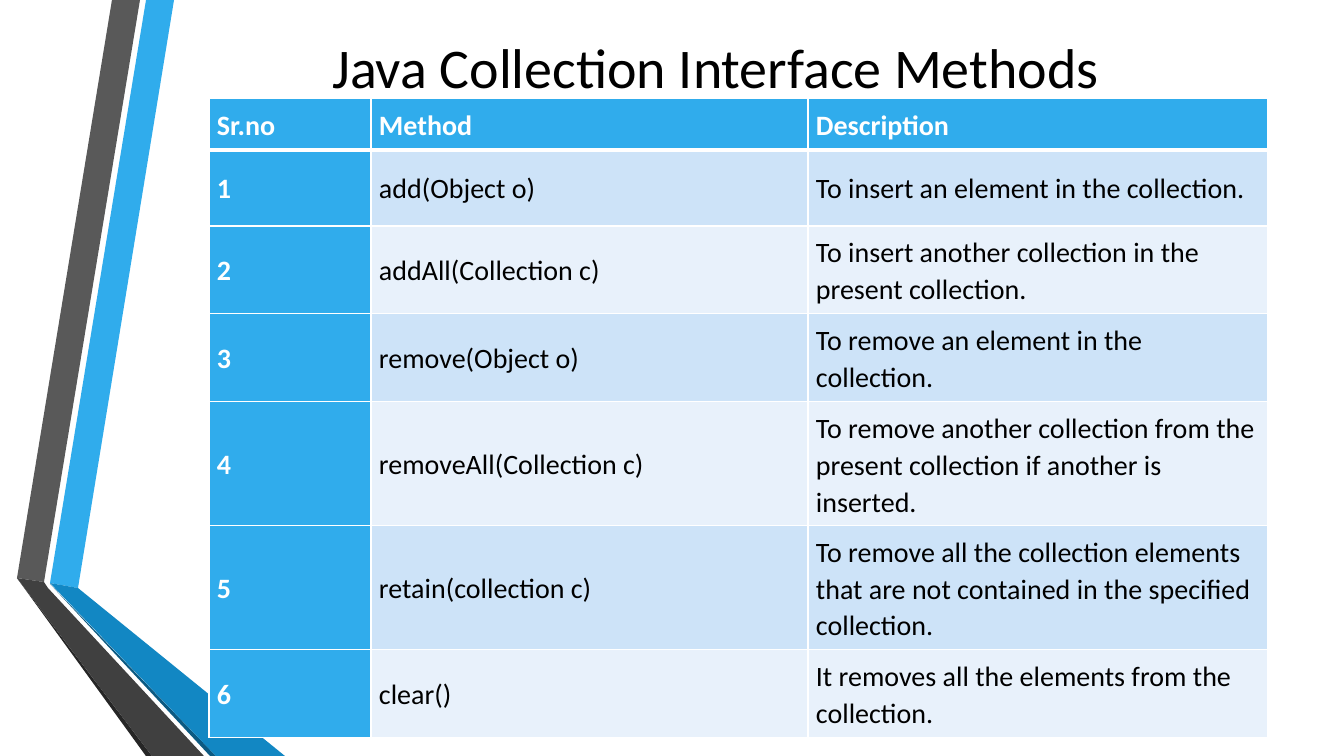
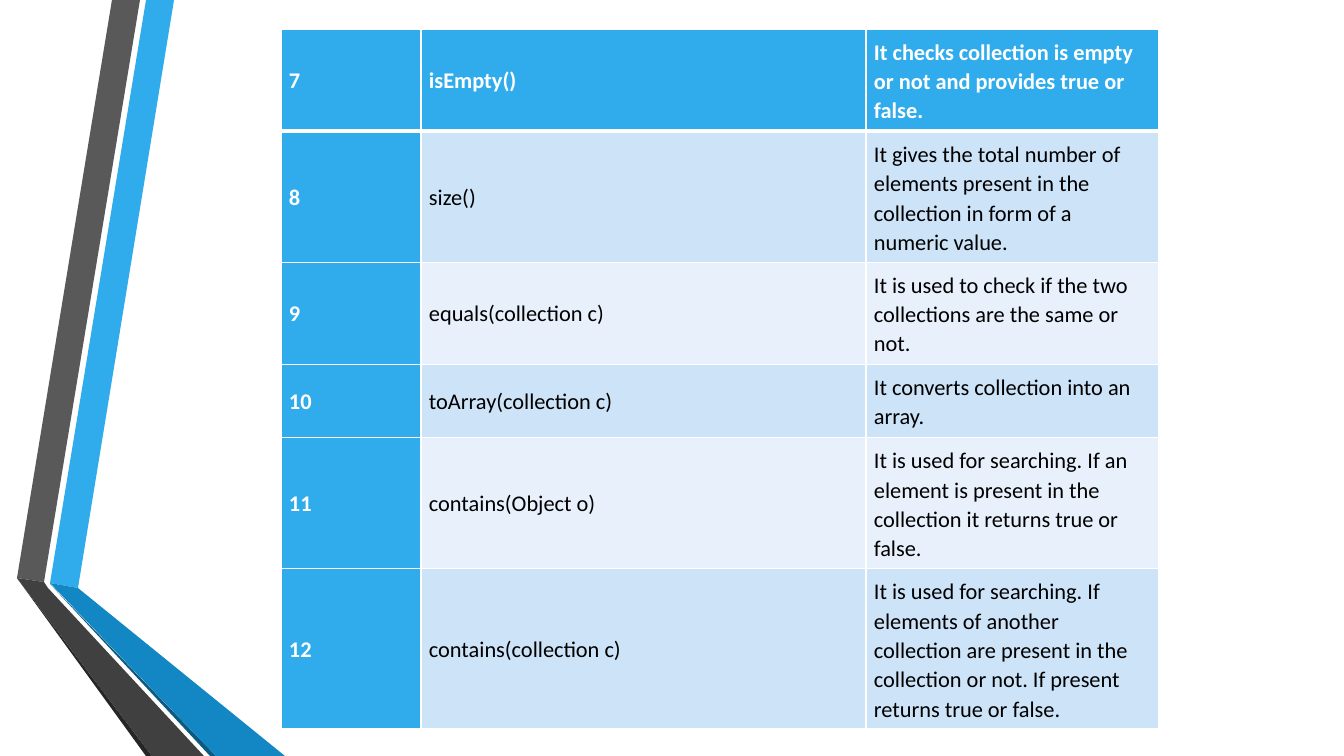
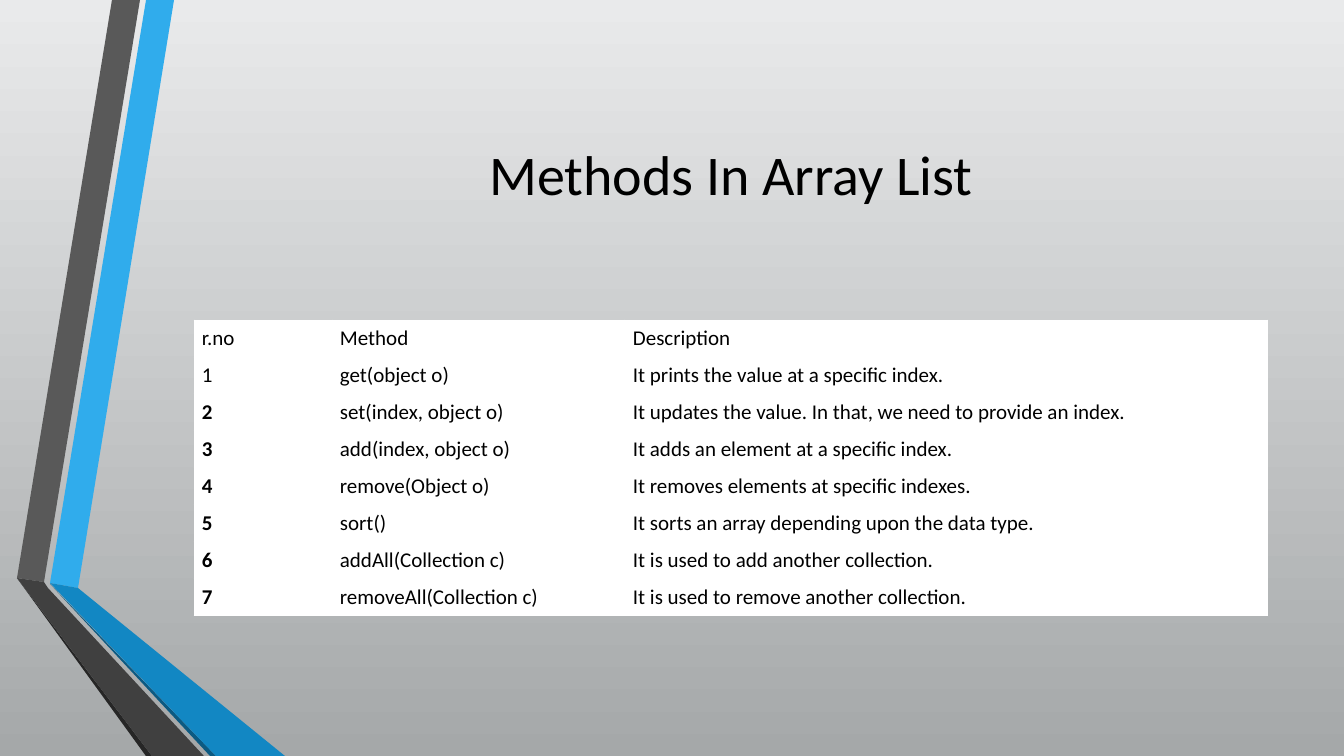
from lxml.etree import SubElement
from pptx import Presentation
from pptx.dml.color import RGBColor
from pptx.enum.text import MSO_ANCHOR as Anchor, PP_ALIGN as Align
from pptx.oxml.ns import qn
from pptx.util import Emu, Pt

SLIDE_W, SLIDE_H = 1344, 756
SCALE = 12192000 / SLIDE_W

FONT = "Calibri"
BLACK, WHITE = "000000", "FFFFFF"
BLUE, PALE_BLUE, PALEST_BLUE = "30ACEC", "CDE3F8", "E8F1FB"
BACKDROP = ("E9EAEB", "A5A8A9")

BANDS = [
    (BLUE, [(50, 583), (78, 588), (174, 0), (146, 0)]),
    ("595959", [(140, 0), (112, 0), (17, 578), (44, 582)]),
    ("262626", [(17, 578), (146, 756), (152, 756)]),
    ("0C5A82", [(50, 584), (210, 756), (216, 756)]),
    ("1287C3", [(50, 583), (216, 756), (285, 756), (78, 588)]),
    ("404040", [(204, 756), (48, 588), (44, 582), (17, 578), (152, 756)]),
]

SLIDES = [
    {
        "title": ("Java Collection Interface Methods", (163, 15, 1105, 102)),
        "at": (209, 98),
        "columns": [162, 437, 460],
        "heights": [48, 76, 76, 76, 104, 104, 76],
        "size": 20,
        "rows": [
            ("Sr.no", "Method", "Description"),
            ("1", "add(Object o)", "To insert an element in the collection."),
            ("2", "addAll(Collection c)", "To insert another collection in the present collection."),
            ("3", "remove(Object o)", "To remove an element in the collection."),
            ("4", "removeAll(Collection c)",
             "To remove another collection from the present collection if another is inserted."),
            ("5", "retain(collection c)",
             "To remove all the collection elements that are not contained in the specified collection."),
            ("6", "clear()", "It removes all the elements from the collection."),
        ],
    },
    {
        "at": (281, 29),
        "columns": [140, 445, 293],
        "heights": [82, 112, 82, 52, 112, 141],
        "size": 16,
        "rows": [
            ("7", "isEmpty()", "It checks collection is empty or not and provides true or false."),
            ("8", "size()",
             "It gives the total number of elements present in the collection in form of a numeric value."),
            ("9", "equals(collection c)", "It is used to check if the two collections are the same or not."),
            ("10", "toArray(collection c)", "It converts collection into an array."),
            ("11", "contains(Object o)",
             "It is used for searching. If an element is present in the collection it returns true or false."),
            ("12", "contains(collection c)",
             "It is used for searching. If elements of another collection are present in the collection "
             "or not. If present returns true or false."),
        ],
    },
    {
        "title": ("Methods In Array List", (194, 76, 1074, 194)),
        "backdrop": BACKDROP,
        "plain": True,
        "at": (194, 320),
        "columns": [138, 293, 643],
        "heights": [37] * 8,
        "size": 15,
        "rows": [
            ("r.no", "Method", "Description"),
            ("1", "get(object o)", "It prints the value at a specific index."),
            ("2", "set(index, object o)", "It updates the value. In that, we need to provide an index."),
            ("3", "add(index, object o)", "It adds an element at a specific index."),
            ("4", "remove(Object o)", "It removes elements at specific indexes."),
            ("5", "sort()", "It sorts an array depending upon the data type."),
            ("6", "addAll(Collection c)", "It is used to add another collection."),
            ("7", "removeAll(Collection c)", "It is used to remove another collection."),
        ],
    },
]


def px(length):
    return Emu(round(length * SCALE))


def rgb(color):
    return RGBColor.from_string(color)


def write(frame, text, size, color=BLACK, bold=False, align=None, spacing=None, after=None):
    frame.word_wrap = True
    paragraph = frame.paragraphs[0]
    paragraph.alignment = align
    paragraph.line_spacing = spacing
    paragraph.space_after = after
    run = paragraph.add_run()
    run.text = text
    run.font.name, run.font.size, run.font.bold = FONT, Pt(size), bold
    run.font.color.rgb = rgb(color)


def set_borders(cell, **widths):
    """Draw white borders; widths are points keyed by side: L, R, T, B."""
    properties = cell._tc.get_or_add_tcPr()
    for position, side in enumerate("LRTB"):
        line = SubElement(properties, qn(f"a:ln{side}"), w=str(Pt(widths[side])))
        fill = SubElement(line, qn("a:solidFill"))
        SubElement(fill, qn("a:srgbClr"), val=WHITE)
        properties.insert(position, line)


def add_bands(slide):
    for color, (start, *others) in BANDS:
        outline = slide.shapes.build_freeform(*start, scale=SCALE)
        outline.add_line_segments(others, close=True)
        band = outline.convert_to_shape()
        band.shadow.inherit = False
        band.fill.solid()
        band.fill.fore_color.rgb = rgb(color)
        band.line.fill.background()


def add_title(slide, text, box):
    frame = slide.shapes.add_textbox(*map(px, box)).text_frame
    frame.vertical_anchor = Anchor.MIDDLE
    write(frame, text, 40, align=Align.CENTER)


def cell_look(row, column, plain):
    """Return fill, text colour and boldness for a place in the table."""
    if plain:
        return WHITE, BLACK, row > 1 and column == 0
    if row == 0 or column == 0:
        return BLUE, WHITE, True
    return (PALE_BLUE if row % 2 else PALEST_BLUE), BLACK, False


def add_methods(slide, content):
    columns, heights, rows = content["columns"], content["heights"], content["rows"]
    plain = content.get("plain", False)
    box = (*content["at"], sum(columns), sum(heights))
    table = slide.shapes.add_table(len(rows), len(columns), *map(px, box)).table
    table.first_row = table.horz_banding = False
    for column, width in zip(table.columns, columns):
        column.width = px(width)
    thin = 0.75 if plain else 1
    thick = thin if plain else 3
    for r, texts in enumerate(rows):
        table.rows[r].height = px(heights[r])
        for c, text in enumerate(texts):
            cell = table.cell(r, c)
            fill, color, bold = cell_look(r, c, plain)
            cell.fill.solid()
            cell.fill.fore_color.rgb = rgb(fill)
            cell.vertical_anchor = Anchor.MIDDLE
            cell.margin_left = cell.margin_right = px(8)
            cell.margin_top = cell.margin_bottom = px(4 if plain else 8)
            write(cell.text_frame, text, content["size"], color, bold,
                  spacing=None if plain else 1.07, after=None if plain else Pt(18))
            set_borders(cell, L=thin, R=thin,
                        T=thick if r == 1 else thin, B=thick if r == 0 else thin)


def set_backdrop(slide, colors):
    fill = slide.background.fill
    if not colors:
        fill.solid()
        fill.fore_color.rgb = rgb(WHITE)
        return
    fill.gradient()
    fill.gradient_angle = 270
    for stop, color, position in zip(fill.gradient_stops, colors, (0, 1)):
        stop.color.rgb = rgb(color)
        stop.position = position


def main():
    deck = Presentation()
    deck.slide_width, deck.slide_height = px(SLIDE_W), px(SLIDE_H)
    for content in SLIDES:
        slide = deck.slides.add_slide(deck.slide_layouts[6])
        set_backdrop(slide, content.get("backdrop"))
        add_bands(slide)
        if "title" in content:
            add_title(slide, *content["title"])
        add_methods(slide, content)
    deck.save("out.pptx")


if __name__ == "__main__":
    main()
